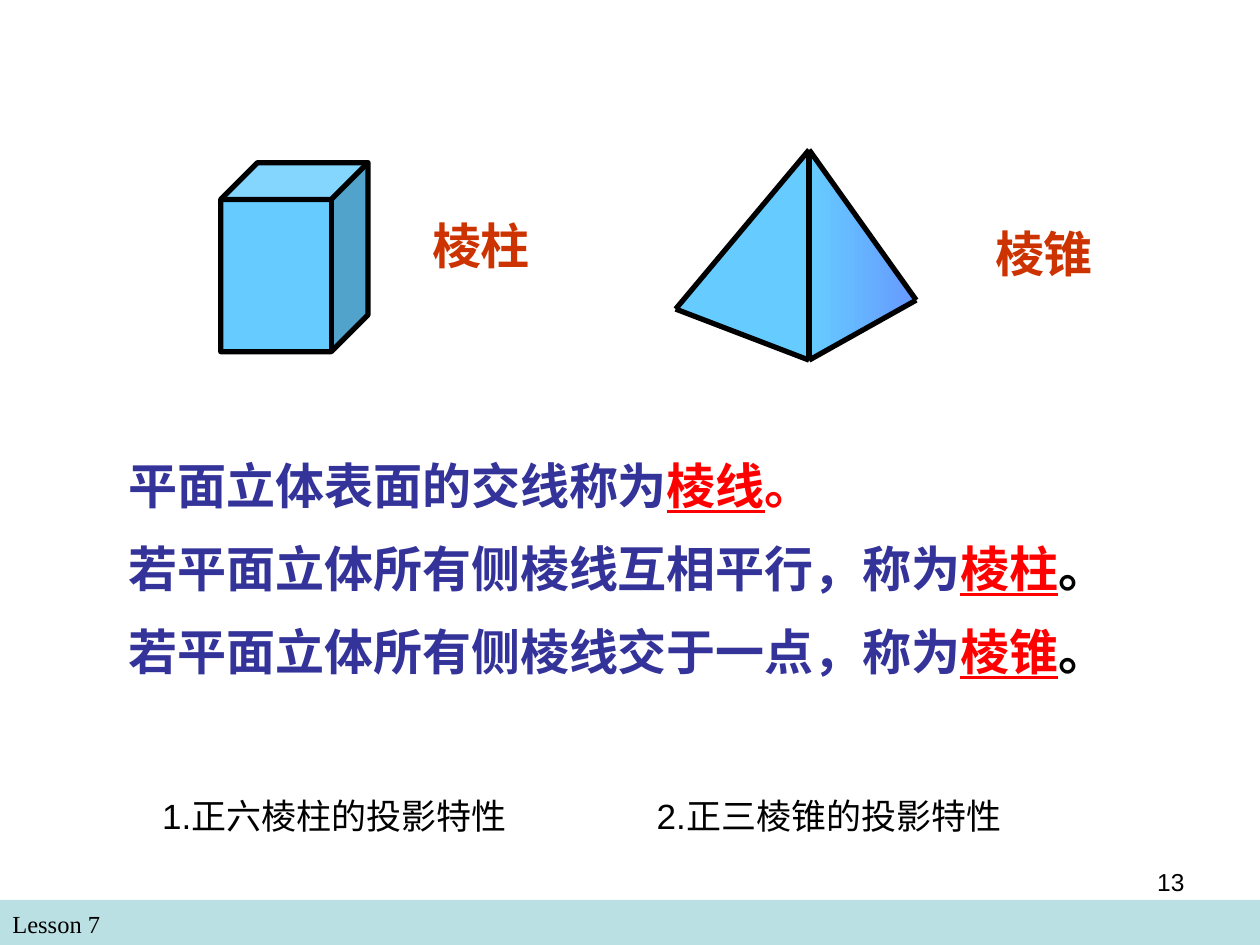
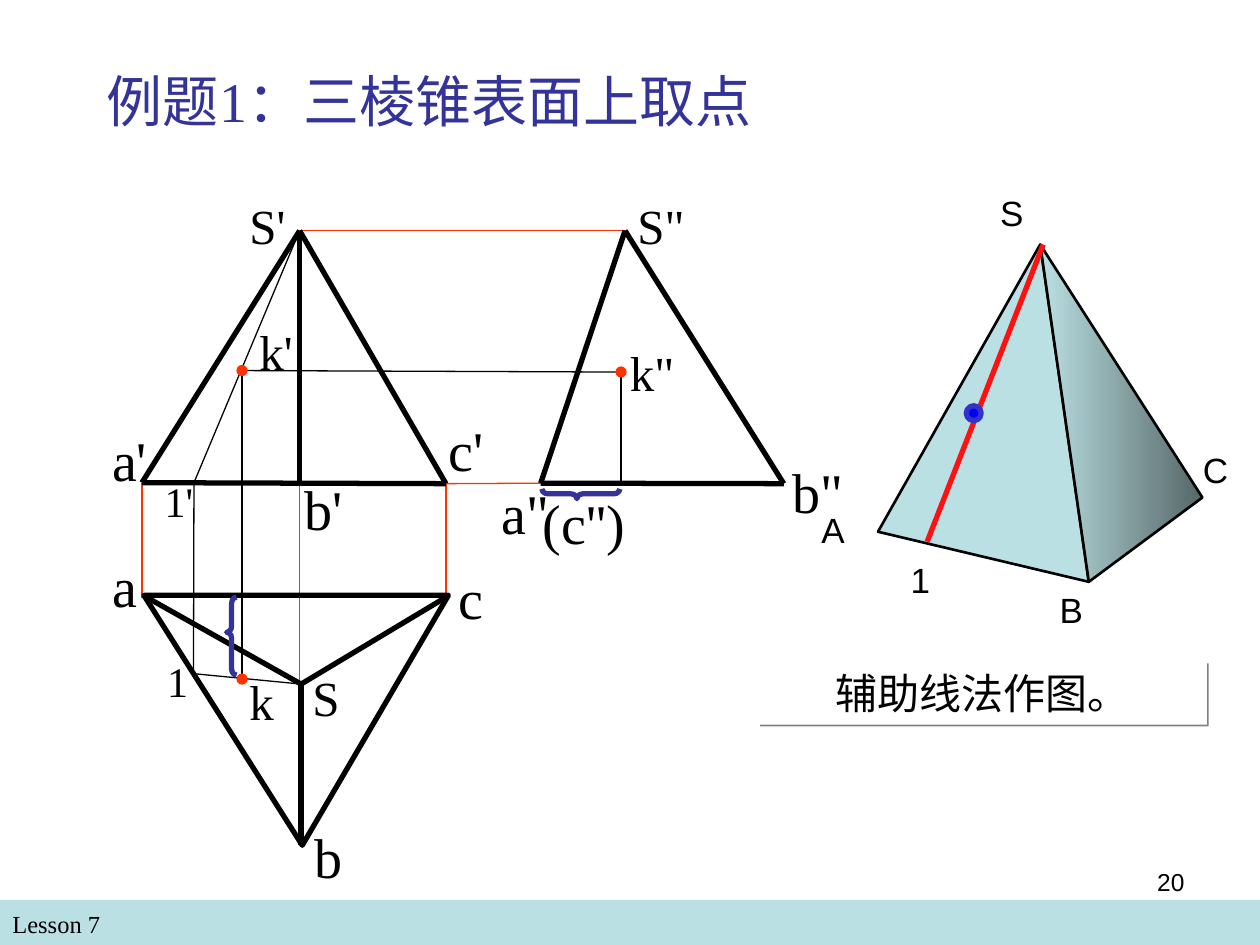
from dataclasses import dataclass

from lxml.etree import SubElement
from pptx import Presentation
from pptx.dml.color import RGBColor
from pptx.enum.shapes import MSO_CONNECTOR as Link, MSO_SHAPE as Preset
from pptx.enum.text import MSO_ANCHOR as Anchor, MSO_AUTO_SIZE as AutoSize, PP_ALIGN as Align
from pptx.oxml.ns import qn
from pptx.util import Cm, Pt


@dataclass(frozen=True)
class Theme:
    # Colours
    black: str = "000000"
    white: str = "FFFFFF"
    band: str = "BBE0E3"
    indigo: str = "333399"
    red: str = "FF0000"
    rust: str = "CC3300"
    orange: str = "FF3300"
    scarlet: str = "FF1111"
    sky: str = "66CCFF"
    periwinkle: str = "6699FF"
    slate: str = "566768"
    blue: str = "0000FF"
    royal: str = "3333CC"
    grey: str = "808080"
    # Fonts
    sans: str = "Arial"
    serif: str = "Times New Roman"
    chinese: str = "Noto Sans CJK SC"
    # Type sizes and line widths in points
    title: int = 32
    heading: int = 28
    note: int = 24
    text: int = 20
    small: int = 14
    thick: float = 3
    medium: float = 1.5
    thin: float = 0.75


THEME = Theme()


def rgb(colour):
    return RGBColor.from_string(colour)


class SlideBuilder:
    """Holds the theme and the current slide."""

    def __init__(self, deck, theme):
        self.deck, self.theme, self.page = deck, theme, None

    def new_page(self, layout, number):
        theme = self.theme
        self.page = self.deck.slides.add_slide(self.deck.slide_layouts[layout])
        self.shape(Preset.RECTANGLE, (0, 18.14, 25.4, 0.91), theme.band)
        self.text("Lesson 7", (0, 18.21, 12.27, 0.86), theme.small, font=theme.serif)
        self.text(number, (18.21, 17.35, 5.92, 1.32), theme.small, align=Align.RIGHT)

    def place(self, box, area):
        box.left, box.top, box.width, box.height = map(Cm, area)

    def style_frame(self, box, wrap=True):
        frame = box.text_frame
        frame.word_wrap = wrap
        frame.auto_size = AutoSize.NONE
        frame.vertical_anchor = Anchor.TOP
        return frame

    def style_span(self, span, size, colour, font, bold=False, underline=False):
        span.font.size, span.font.name = Pt(size), font
        span.font.bold, span.font.underline = bold, underline
        span.font.color.rgb = rgb(colour)
        latin = span._r.get_or_add_rPr().find(qn("a:latin"))
        east_asian = latin.makeelement(qn("a:ea"), {"typeface": self.theme.chinese})
        latin.addnext(east_asian)

    def fill_text(self, box, content, size, colour=THEME.black, font=THEME.sans, bold=False,
                  align=Align.LEFT, wrap=True, pitch=None):
        frame = self.style_frame(box, wrap)
        frame.text = content
        para = frame.paragraphs[0]
        para.alignment = align
        if pitch:
            para.line_spacing = Pt(pitch)
        for span in para.runs:
            self.style_span(span, size, colour, font, bold)
        return para

    def text(self, content, area, size, **style):
        box = self.page.shapes.add_textbox(*map(Cm, area))
        return self.fill_text(box, content, size, **style)

    def title(self, content, area):
        box = self.page.shapes.title
        self.place(box, area)
        self.fill_text(box, content, self.theme.title, colour=self.theme.indigo,
                       font=self.theme.serif, pitch=37.7)

    def body(self, lines, area):
        """Each line is a list of (text, colour, underlined)."""
        box = self.page.placeholders[1]
        self.place(box, area)
        frame = self.style_frame(box)
        for index, line in enumerate(lines):
            para = frame.add_paragraph() if index else frame.paragraphs[0]
            properties = para._p.get_or_add_pPr()
            properties.set("marL", "0")
            properties.set("indent", "0")
            SubElement(properties, qn("a:buNone"))
            para.line_spacing = Pt(40.4)
            para.space_before = Pt(7 if index else 0)
            for content, colour, underline in line:
                span = para.add_run()
                span.text = content
                self.style_span(span, self.theme.heading, colour, self.theme.chinese,
                                True, underline)

    def labels(self, size, font, entries):
        """Each entry is text, left, top and width."""
        height = size * 0.04 + 0.27
        for content, left, top, width in entries:
            self.text(content, (left, top, width, height), size, font=font, wrap=False)

    def paint(self, item, fill, line, width):
        item.shadow.inherit = False
        if fill is None:
            item.fill.background()
        elif isinstance(fill, tuple):
            item.fill.gradient()
            item.fill.gradient_angle = 180
            for stop, colour in zip(item.fill.gradient_stops, fill):
                stop.color.rgb = rgb(colour)
        else:
            item.fill.solid()
            item.fill.fore_color.rgb = rgb(fill)
        if line is None:
            item.line.fill.background()
        else:
            item.line.color.rgb = rgb(line)
            item.line.width = Pt(width)
        return item

    def shape(self, preset, area, fill=None, line=None, width=THEME.thick,
              adjust=(), rotation=0):
        item = self.page.shapes.add_shape(preset, *map(Cm, area))
        for index, value in enumerate(adjust):
            item.adjustments[index] = value
        item.rotation = rotation
        return self.paint(item, fill, line, width)

    def dot(self, centre, size, fill, line, width):
        left, top = (value - size / 2 for value in centre)
        self.shape(Preset.OVAL, (left, top, size, size), fill, line, width)

    def polygon(self, points, fill, line=None, width=THEME.medium):
        start, *others = [(Cm(x), Cm(y)) for x, y in points]
        builder = self.page.shapes.build_freeform(*start)
        builder.add_line_segments(others, close=True)
        self.paint(builder.convert_to_shape(), fill, line, width)

    def lines(self, points, pairs, colour, width):
        """Joins named points; pairs reads like "a-b b-c"."""
        for pair in pairs.split():
            start, end = (points[name] for name in pair.split("-"))
            link = self.page.shapes.add_connector(Link.STRAIGHT, *map(Cm, start + end))
            link.line.color.rgb = rgb(colour)
            link.line.width = Pt(width)
            SubElement(link._element.spPr, qn("a:effectLst"))


def build_solids(builder):
    theme = builder.theme
    builder.new_page(1, "13")
    title = builder.page.shapes.title
    title.element.getparent().remove(title.element)

    # Definitions
    parallel, meeting = "若平面立体所有侧棱线互相平行，称为", "若平面立体所有侧棱线交于一点，称为"
    lines = [[("平面立体表面的交线称为", theme.indigo, False),
              ("棱线", theme.red, True), ("。", theme.red, False)]]
    for condition, term in ((parallel, "棱柱"), (meeting, "棱锥")):
        lines.append([(condition, theme.indigo, False),
                      (term, theme.red, True), ("。", theme.black, False)])
    builder.body(lines, (2.34, 8.81, 21.29, 5.03))

    # Prism and pyramid
    builder.shape(Preset.CUBE, (4.45, 3.28, 2.97, 3.81), theme.sky, theme.black, adjust=[0.25])
    points = {"top": (16.31, 3.02), "left": (13.62, 6.23),
              "base": (16.31, 7.26), "right": (18.47, 6.05)}
    builder.polygon([points[name] for name in ("top", "base", "right")],
                    (theme.periwinkle, theme.sky))
    builder.polygon([points[name] for name in ("top", "left", "base")], theme.sky)
    builder.lines(points, "top-left left-base top-base top-right right-base",
                  theme.black, theme.thick)
    for name, left, top in (("棱柱", 8.46, 4.23), ("棱锥", 19.81, 4.39)):
        builder.text(name, (left, top, 3.07, 1.45), theme.heading, colour=theme.rust,
                     font=theme.chinese, bold=True, pitch=33.6)

    # Topics, the second one on a tab stop
    topics = builder.text("1.正六棱柱的投影特性\t2.正三棱锥的投影特性",
                          (3.02, 15.9, 19, 1.96), theme.text, pitch=24)
    tabs = SubElement(topics._p.get_or_add_pPr(), qn("a:tabLst"))
    SubElement(tabs, qn("a:tab"), pos=str(Cm(9.97)), algn="l")


def build_example(builder):
    theme = builder.theme
    builder.new_page(5, "20")
    builder.title("例题1：三棱锥表面上取点", (1.9, 1.24, 13.9, 2.97))

    # Three views: front ('), side ('') and top
    points = {
        "s'": (6.04, 4.65), "a'": (2.86, 9.73), "b'": (6.04, 9.73), "c'": (8.99, 9.75),
        "s''": (12.6, 4.65), "a''": (10.9, 9.74), "b''": (15.8, 9.75),
        "a": (2.9, 12.01), "b": (6.07, 17.04), "c": (9.04, 12.01), "s": (6.07, 13.79),
        "k'": (4.88, 7.47), "k''": (12.52, 7.5), "k": (4.88, 13.69),
        "1'": (3.91, 9.73), "1": (3.9, 13.58), "depth": (12.52, 9.73),
        "left": (2.86, 12.06), "right": (8.99, 12.06), "middle": (6.04, 13.8),
    }
    builder.lines(points, "left-a' right-c' c'-a'' s'-s'' middle-b'", theme.orange, theme.thin)
    builder.lines(points, "a'-c' b'-s' s'-a' s'-c' a''-b'' s''-b'' s''-a'' s-b a-s c-s",
                  theme.black, theme.thick)
    builder.shape(Preset.ISOSCELES_TRIANGLE, (2.9, 12, 6.14, 5.04), line=theme.black,
                  adjust=[0.48], rotation=180)
    builder.lines(points, "s'-1' 1'-1 s-1 k'-k k'-k'' depth-k''", theme.black, theme.thin)

    # Equal depths
    for left, top, rotation in ((4.57, 12.04, 0), (11.61, 9.17, 270)):
        builder.shape(Preset.LEFT_BRACE, (left, top, 0.2, 1.57), line=theme.indigo,
                      adjust=[0.6, 0.45], rotation=rotation)
    for name in ("k", "k'", "k''"):
        builder.dot(points[name], 0.2, theme.orange, theme.orange, theme.thin)

    # Labels of the views
    builder.labels(theme.title, theme.serif, [
        ("a'", 2.01, 8.46, 1.22), ('a"', 9.86, 9.53, 1.47), ("b'", 5.89, 9.45, 1.27),
        ('b"', 15.72, 9.09, 1.52), ("c'", 8.79, 8.26, 1.22), ("(c'')", 10.69, 9.73, 2.34),
        ("a", 2.01, 11, 1.02), ("b", 6.1, 16.46, 1.07), ("c", 8.99, 11.23, 1.02)])
    builder.labels(theme.heading, theme.serif, [
        ("S", 6.05, 13.34, 1.04), ("S'", 4.78, 3.81, 1.22), ('S"', 12.6, 3.81, 1.45),
        ("k'", 4.98, 6.35, 1.17), ("k", 4.78, 13.41, 1.02), ('k"', 12.45, 6.78, 1.4)])
    builder.labels(theme.note, theme.serif, [("1'", 3.07, 9.47, 1.07), ("1", 3.12, 13.08, 0.91)])

    # Pyramid in space with the auxiliary line
    solid = {"S": (20.97, 4.93), "A": (17.7, 10.72), "B": (21.95, 11.73), "C": (24.24, 10.03),
             "start": (21.03, 4.93), "end": (18.69, 10.92)}
    for face, fill in (("SAB", theme.band), ("SCB", (theme.slate, theme.band))):
        builder.polygon([solid[name] for name in face], fill, theme.black)
    builder.lines(solid, "start-end", theme.scarlet, theme.thick)
    builder.dot((19.63, 8.33), 0.3, theme.blue, theme.royal, theme.thick)
    builder.labels(theme.text, theme.sans, [
        ("S", 19.91, 3.73, 1.4), ("A", 16.31, 10.13, 1.4), ("B", 21.11, 11.73, 1.4),
        ("C", 24, 8.92, 1.4), ("1", 18.11, 11.13, 0.99)])

    # Method note with a hard shadow
    note = builder.shape(Preset.RECTANGLE, (15.29, 13.34, 9.04, 1.27), theme.white)
    builder.fill_text(note, "辅助线法作图。", theme.note, font=theme.serif,
                      align=Align.CENTER, pitch=28.8)
    effects = note._element.spPr.find(qn("a:effectLst"))
    shadow = SubElement(effects, qn("a:outerShdw"), dist=str(Pt(1.4)), dir="2700000",
                        algn="ctr", rotWithShape="0")
    SubElement(shadow, qn("a:srgbClr"), val=theme.grey)


def main():
    deck = Presentation()
    deck.slide_width, deck.slide_height = Cm(25.4), Cm(19.05)
    builder = SlideBuilder(deck, THEME)
    build_solids(builder)
    build_example(builder)
    deck.save("out.pptx")


if __name__ == "__main__":
    main()
